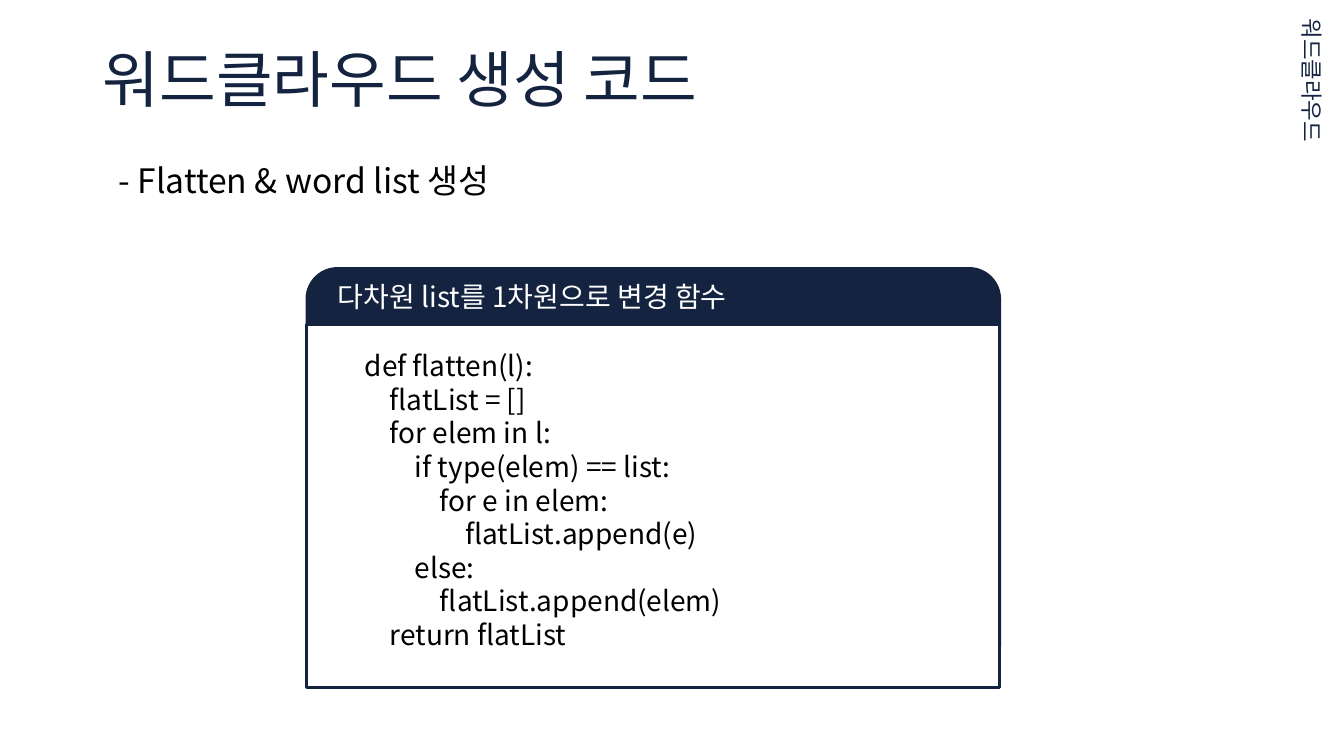
from pptx import Presentation
from pptx.dml.color import RGBColor
from pptx.enum.shapes import MSO_SHAPE as Geo
from pptx.enum.text import MSO_ANCHOR as Anchor
from pptx.oxml import parse_xml
from pptx.oxml.ns import nsdecls
from pptx.util import Cm, Pt

NAVY = RGBColor(0x14, 0x24, 0x40)
WHITE = RGBColor(0xFF, 0xFF, 0xFF)
BLACK = RGBColor(0x00, 0x00, 0x00)
FACE = "Noto Sans CJK KR"

CODE = """def flatten(l):
    flatList = []
    for elem in l:
        if type(elem) == list:
            for e in elem:
                flatList.append(e)
        else:
            flatList.append(elem)
    return flatList"""


def add_text(slide, box, text, size, color, pitch=None, wrap=True):
    """Place a text box with one paragraph per line and return it."""
    shape = slide.shapes.add_textbox(*map(Cm, box))
    frame = shape.text_frame
    frame.word_wrap = wrap
    for row, line in enumerate(text.split("\n")):
        para = frame.add_paragraph() if row else frame.paragraphs[0]
        para.line_spacing = pitch
        run = para.add_run()
        run.text = line
        font = run.font
        font.name, font.size, font.color.rgb = FACE, Pt(size), color
        font._element.append(parse_xml(f'<a:ea {nsdecls("a")} typeface="{FACE}"/>'))
    return shape


def add_panel(slide, geo, box, fill):
    """Place a navy-edged shape and return it."""
    shape = slide.shapes.add_shape(geo, *map(Cm, box))
    shape.shadow.inherit = False
    shape.fill.solid()
    shape.fill.fore_color.rgb = fill
    shape.line.color.rgb = NAVY
    shape.line.width = Pt(2.25)
    return shape


def add_head(slide, box):
    """Place the title and the subtitle below it."""
    left, top, width, height = box
    title = add_text(slide, box, "워드클라우드 생성 코드", 44, NAVY, 0.9)
    title.text_frame.vertical_anchor = Anchor.MIDDLE
    sub = (left + 0.4, top + height, 11.56, 1.27)
    add_text(slide, sub, "- Flatten & word list 생성", 24, BLACK, wrap=False)


def add_card(slide, box):
    """Place the code card: rounded header, framed body and code."""
    left, top, width, height = box
    back = add_panel(slide, Geo.ROUNDED_RECTANGLE, (left, top, width, 10.31), NAVY)
    back.adjustments[0] = 0.078
    back.line.fill.background()
    body = (left + 0.02, top + 1.45, width - 0.05, height - 1.45)
    add_panel(slide, Geo.RECTANGLE, body, WHITE)
    label = (left + 0.56, top + 0.18, 13.56, 1.12)
    add_text(slide, label, "다차원 list를 1차원으로 변경 함수", 20, WHITE)
    add_text(slide, (left + 1.24, top + 1.93, 12.95, 7.95), CODE, 20, BLACK)


def add_tab(slide, box):
    """Place the section name, turned to read down the right edge."""
    left, top, width, height = box
    turned = (left + (width - height) / 2, top + (height - width) / 2, height, width)
    add_text(slide, turned, "워드클라우드", 16, NAVY).rotation = 90


def main():
    """Build the slide and save it."""
    deck = Presentation()
    deck.slide_width, deck.slide_height = Cm(33.87), Cm(19.05)
    slide = deck.slides.add_slide(deck.slide_layouts[6])
    add_head(slide, (2.34, 0.23, 29.21, 3.68))
    add_card(slide, (7.7, 6.73, 17.53, 10.59))
    add_tab(slide, (32.6, 0.22, 0.94, 7.06))
    deck.save("out.pptx")


if __name__ == "__main__":
    main()
